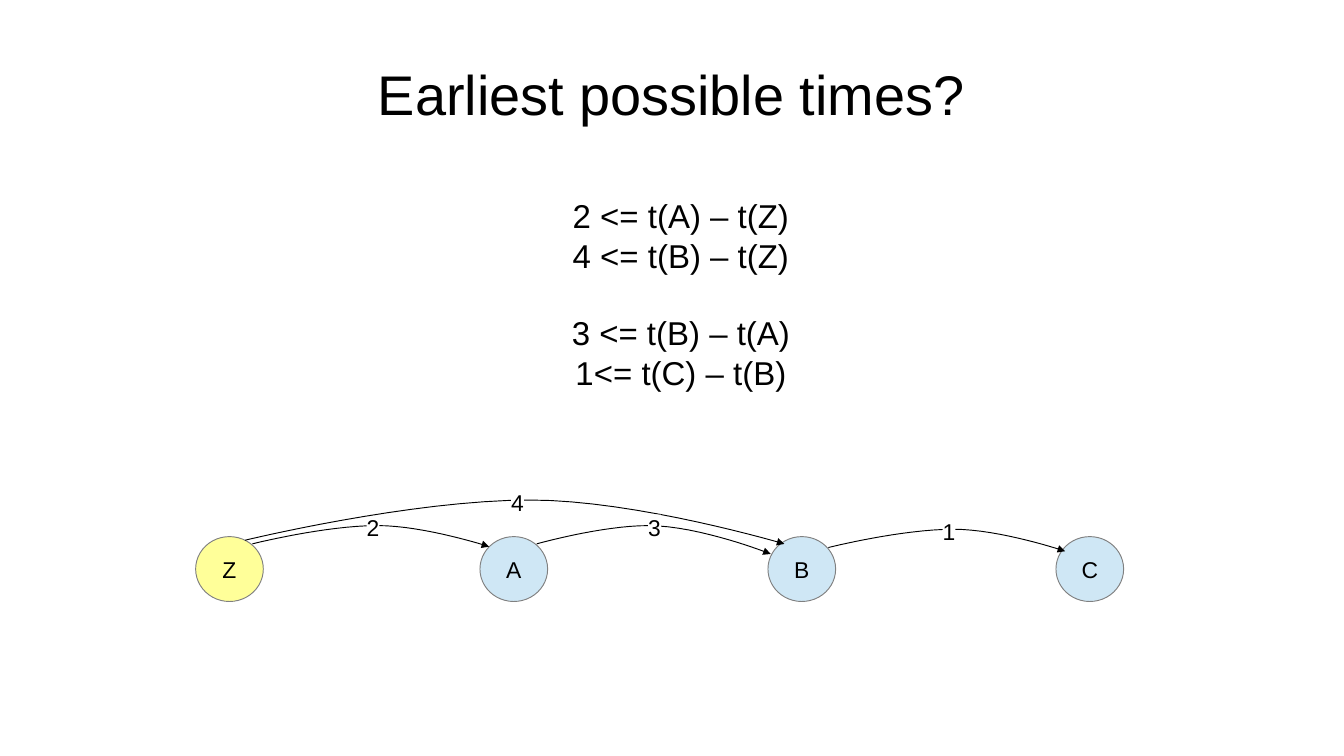
from dataclasses import dataclass

from pptx import Presentation
from pptx.dml.color import RGBColor
from pptx.enum import shapes, text
from pptx.oxml import ns
from pptx.util import Pt
from lxml import etree


@dataclass(frozen=True)
class Theme:
    font: str = "Arial"
    ink: RGBColor = RGBColor(0, 0, 0)
    paper: RGBColor = RGBColor(255, 255, 255)
    outline: RGBColor = RGBColor(0x80, 0x80, 0x80)
    start: RGBColor = RGBColor(0xFF, 0xFF, 0x99)
    event: RGBColor = RGBColor(0xCF, 0xE7, 0xF5)
    title_size: int = 44
    body_size: int = 26
    label_size: int = 18


THEME = Theme()
NODE_TOP, NODE_WIDTH, NODE_HEIGHT = 422.64, 53.28, 51.12
LABEL_WIDTH, LABEL_HEIGHT, LABEL_RISE = 10, 20.16, 8.64
CURVE_STEPS = 16
APEX_PULL = 0.42

NODES = [
    ("Z", 154.08, THEME.start),
    ("A", 378, THEME.event),
    ("B", 604.8, THEME.event),
    ("C", 831.6, THEME.event),
]
ARCS = [
    ("2", 288.72, (198.72, 428.4), (297.36, 414), (385.2, 430.56)),
    ("4", 402.48, (192.96, 425.52), (417.6, 393.84), (617.76, 428.4)),
    ("3", 510.48, (422.64, 428.4), (510.48, 414), (606.96, 436.32)),
    ("1", 742.32, (652.32, 431.28), (750.96, 416.88), (838.8, 434.16)),
]
CONSTRAINTS = [
    "2 <= t(A) – t(Z)",
    "4 <= t(B) – t(Z)",
    "3 <= t(B) – t(A)",
    "1<= t(C) – t(B)",
]


def place(shape, left, top, width, height):
    shape.left, shape.top = Pt(left), Pt(top)
    shape.width, shape.height = Pt(width), Pt(height)


def write(shape, words, size, align=text.PP_ALIGN.CENTER, wrap=False):
    frame = shape.text_frame
    frame.text = words
    frame.word_wrap = wrap
    frame.vertical_anchor = text.MSO_ANCHOR.MIDDLE
    frame.margin_left = frame.margin_right = 0
    frame.margin_top = frame.margin_bottom = 0
    for para in frame.paragraphs:
        para.alignment = align
        for span in para.runs:
            span.font.name = THEME.font
            span.font.size = Pt(size)
            span.font.color.rgb = THEME.ink
    return frame


def add_title(page, words):
    title = page.shapes.title
    place(title, 52.56, 23.76, 952.56, 99.36)
    write(title, words, THEME.title_size, wrap=True)


def add_constraints(page, lines):
    box = page.shapes.add_textbox(Pt(203.76), Pt(123.12), Pt(665.28), Pt(216.72))
    frame = write(box, "\n".join(lines), THEME.body_size, wrap=True)
    frame.paragraphs[2].space_before = Pt(30)


def add_node(page, name, left, fill):
    node = page.shapes.add_shape(
        shapes.MSO_SHAPE.OVAL, Pt(left), Pt(NODE_TOP), Pt(NODE_WIDTH), Pt(NODE_HEIGHT)
    )
    node.shadow.inherit = False
    node.fill.solid()
    node.fill.fore_color.rgb = fill
    node.line.color.rgb = THEME.outline
    node.line.width = Pt(0)
    write(node, name, THEME.label_size)


def bezier(corners):
    first, second, third, last = corners
    for step in range(1, CURVE_STEPS + 1):
        t = step / CURVE_STEPS
        u = 1 - t
        yield tuple(
            Pt(u**3 * a + 3 * u * u * t * b + 3 * u * t * t * c + t**3 * d)
            for a, b, c, d in zip(first, second, third, last)
        )


def add_arc(page, start, apex, end):
    before, after = (
        (apex[0] + APEX_PULL * (point[0] - apex[0]), apex[1]) for point in (start, end)
    )
    rise = list(bezier((start, start, before, apex)))
    fall = list(bezier((apex, after, end, end)))
    builder = page.shapes.build_freeform(Pt(start[0]), Pt(start[1]))
    builder.add_line_segments(rise + fall, close=False)
    arc = builder.convert_to_shape()
    arc.shadow.inherit = False
    arc.fill.background()
    arc.line.color.rgb = THEME.ink
    arc.line.width = Pt(0)
    outline = arc.line.color and arc.element.spPr.find(ns.qn("a:ln"))
    etree.SubElement(outline, ns.qn("a:tailEnd"), type="triangle")


def add_label(page, words, left, top):
    box = page.shapes.add_textbox(Pt(left), Pt(top), Pt(LABEL_WIDTH), Pt(LABEL_HEIGHT))
    box.fill.solid()
    box.fill.fore_color.rgb = THEME.paper
    write(box, words, THEME.label_size, text.PP_ALIGN.LEFT)


def main():
    deck = Presentation()
    deck.slide_width, deck.slide_height = Pt(1058.4), Pt(595.44)
    page = deck.slides.add_slide(deck.slide_layouts[5])
    add_title(page, "Earliest possible times?")
    add_constraints(page, CONSTRAINTS)
    for name, left, fill in NODES:
        add_node(page, name, left, fill)
    for delay, label_left, start, apex, end in ARCS:
        add_arc(page, start, apex, end)
        add_label(page, delay, label_left, apex[1] - LABEL_RISE)
    deck.save("out.pptx")


if __name__ == "__main__":
    main()
